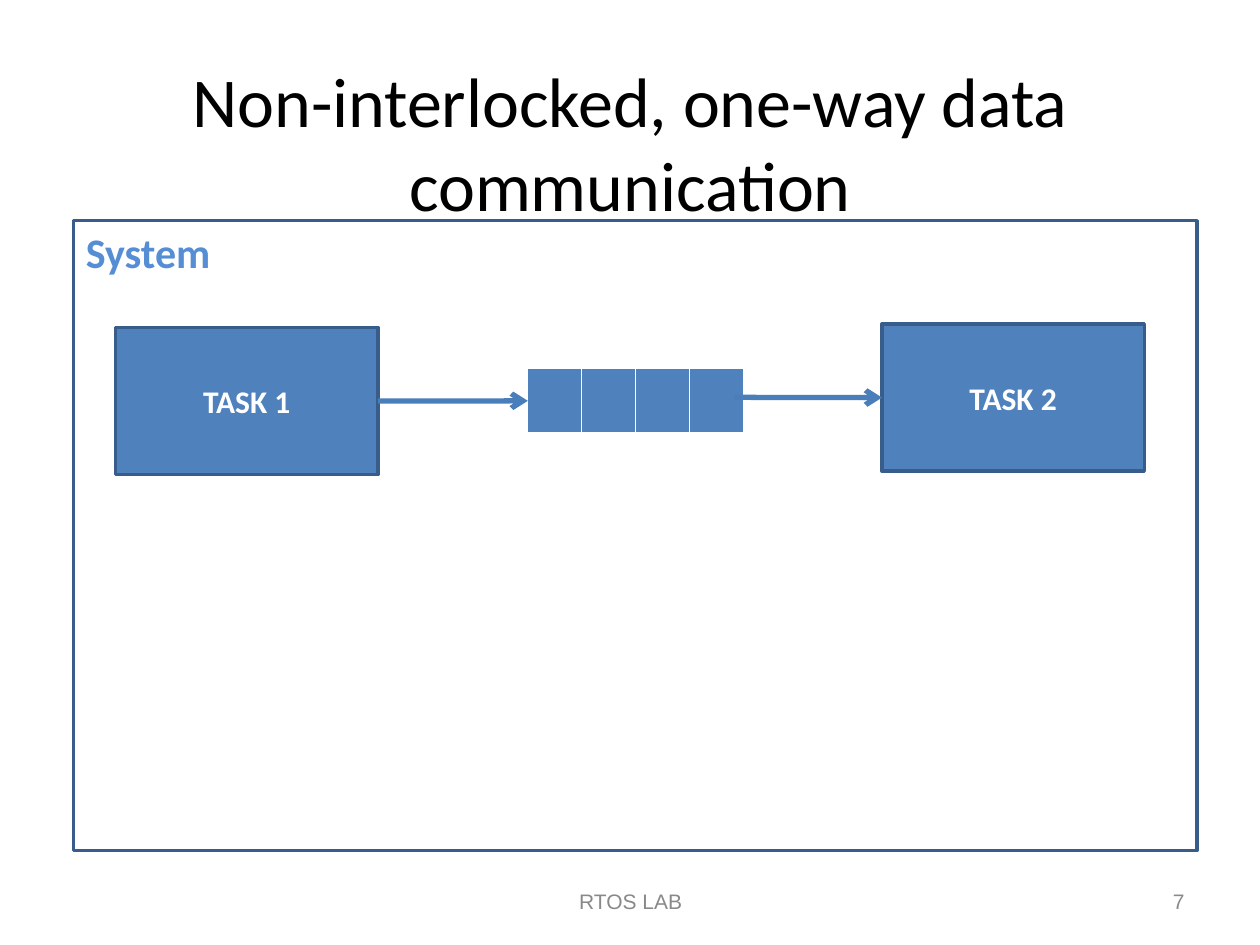
from dataclasses import dataclass

from lxml import etree
from pptx import Presentation
from pptx.dml.color import RGBColor
from pptx.enum import shapes, text
from pptx.oxml import ns
from pptx.util import Cm, Pt


@dataclass(frozen=True)
class Theme:
    heading_font: str = "Calibri"
    footer_font: str = "Arial"
    black: str = "000000"
    white: str = "FFFFFF"
    grey: str = "898989"
    fill: str = "4F81BD"
    outline: str = "385D8A"
    arrow: str = "4A7EBB"
    label: str = "558ED5"
    title_size: int = 40
    system_size: int = 24
    task_size: int = 18
    footer_size: int = 12


@dataclass(frozen=True)
class Box:
    """A labelled area, in centimetres."""
    label: str
    left: float
    top: float
    width: float
    height: float

    def frame(self) -> tuple:
        return Cm(self.left), Cm(self.top), Cm(self.width), Cm(self.height)


THEME = Theme()
LEFT, CENTER, RIGHT = (text.PP_ALIGN.LEFT, text.PP_ALIGN.CENTER,
                       text.PP_ALIGN.RIGHT)
TOP, MIDDLE = text.MSO_ANCHOR.TOP, text.MSO_ANCHOR.MIDDLE

TITLE = Box("Non-interlocked, one-way data communication",
            1.27, 1.27, 22.86, 3.18)
SYSTEM = Box("System", 1.48, 4.45, 22.65, 12.7)
PRODUCER = Box("TASK 1", 2.33, 6.6, 5.29, 2.97)
CONSUMER = Box("TASK 2", 17.78, 6.53, 5.29, 2.97)
QUEUE = Box("", 10.64, 7.42, 4.34, 1.31)
QUEUE_SLOTS = 4
FOOTER = Box("RTOS LAB", 8.69, 17.65, 8.05, 1.02)
PAGE_NUMBER = Box("7", 18.21, 17.65, 5.92, 1.02)


def rgb(value: str) -> RGBColor:
    return RGBColor.from_string(value)


def write(shape, label: str, size: int, color: str, align, anchor=MIDDLE,
          font: str = THEME.heading_font, bold: bool = False) -> None:
    frame = shape.text_frame
    frame.text = label
    frame.word_wrap = True
    frame.auto_size = text.MSO_AUTO_SIZE.NONE
    frame.vertical_anchor = anchor
    paragraph = frame.paragraphs[0]
    paragraph.alignment = align
    paragraph.font.name = font
    paragraph.font.size = Pt(size)
    paragraph.font.bold = bold
    paragraph.font.color.rgb = rgb(color)


def add_title(slide, box: Box) -> None:
    title = slide.shapes.title
    title.left, title.top, title.width, title.height = box.frame()
    write(title, box.label, THEME.title_size, THEME.black, CENTER)


def add_footer(slide, box: Box, align) -> None:
    write(slide.shapes.add_textbox(*box.frame()), box.label,
          THEME.footer_size, THEME.grey, align, font=THEME.footer_font)


def add_outlined_rectangle(slide, box: Box):
    rectangle = slide.shapes.add_shape(shapes.MSO_SHAPE.RECTANGLE,
                                       *box.frame())
    rectangle.shadow.inherit = False
    rectangle.line.color.rgb = rgb(THEME.outline)
    rectangle.line.width = Pt(2)
    return rectangle


def add_task(slide, box: Box):
    task = add_outlined_rectangle(slide, box)
    task.fill.solid()
    task.fill.fore_color.rgb = rgb(THEME.fill)
    write(task, box.label, THEME.task_size, THEME.white, CENTER, bold=True)
    return task


def add_system(slide, box: Box) -> None:
    system = add_outlined_rectangle(slide, box)
    system.fill.background()
    write(system, box.label, THEME.system_size, THEME.label, LEFT, TOP,
          bold=True)


def add_border(cell, side: str, width: float) -> None:
    properties = cell._tc.get_or_add_tcPr()
    line = etree.SubElement(properties, ns.qn(f"a:ln{side}"),
                            w=str(Pt(width)))
    fill = etree.SubElement(line, ns.qn("a:solidFill"))
    etree.SubElement(fill, ns.qn("a:srgbClr"), val=THEME.white)


def add_queue(slide, box: Box, slots: int) -> None:
    table = slide.shapes.add_table(1, slots, *box.frame()).table
    table.first_row = table.horz_banding = False
    for column in table.columns:
        column.width = Cm(box.width / slots)
    for cell in table.iter_cells():
        for side, width in (("L", 0.45), ("R", 0.45), ("T", 0.45), ("B", 1.47)):
            add_border(cell, side, width)
        cell.fill.solid()
        cell.fill.fore_color.rgb = rgb(THEME.fill)


def add_arrow(slide, start: float, end: float, y: float):
    arrow = slide.shapes.add_connector(shapes.MSO_CONNECTOR.STRAIGHT,
                                       Cm(start), Cm(y), Cm(end), Cm(y))
    arrow.line.color.rgb = rgb(THEME.arrow)
    arrow.line.width = Pt(3)
    etree.SubElement(arrow.line._get_or_add_ln(), ns.qn("a:tailEnd"),
                     type="arrow")
    etree.SubElement(arrow._element.spPr, ns.qn("a:effectLst"))
    return arrow


def main() -> None:
    deck = Presentation()
    deck.slide_width, deck.slide_height = Cm(25.4), Cm(19.05)
    title_only = deck.slide_layouts[5]
    slide = deck.slides.add_slide(title_only)

    add_title(slide, TITLE)
    add_footer(slide, FOOTER, CENTER)
    add_footer(slide, PAGE_NUMBER, RIGHT)
    producer = add_task(slide, PRODUCER)
    consumer = add_task(slide, CONSUMER)
    add_system(slide, SYSTEM)
    add_queue(slide, QUEUE, QUEUE_SLOTS)
    add_arrow(slide, 7.62, QUEUE.left, 8.08).begin_connect(producer, 3)
    add_arrow(slide, 14.81, CONSUMER.left, 8.01).end_connect(consumer, 1)

    deck.save("out.pptx")


if __name__ == "__main__":
    main()
